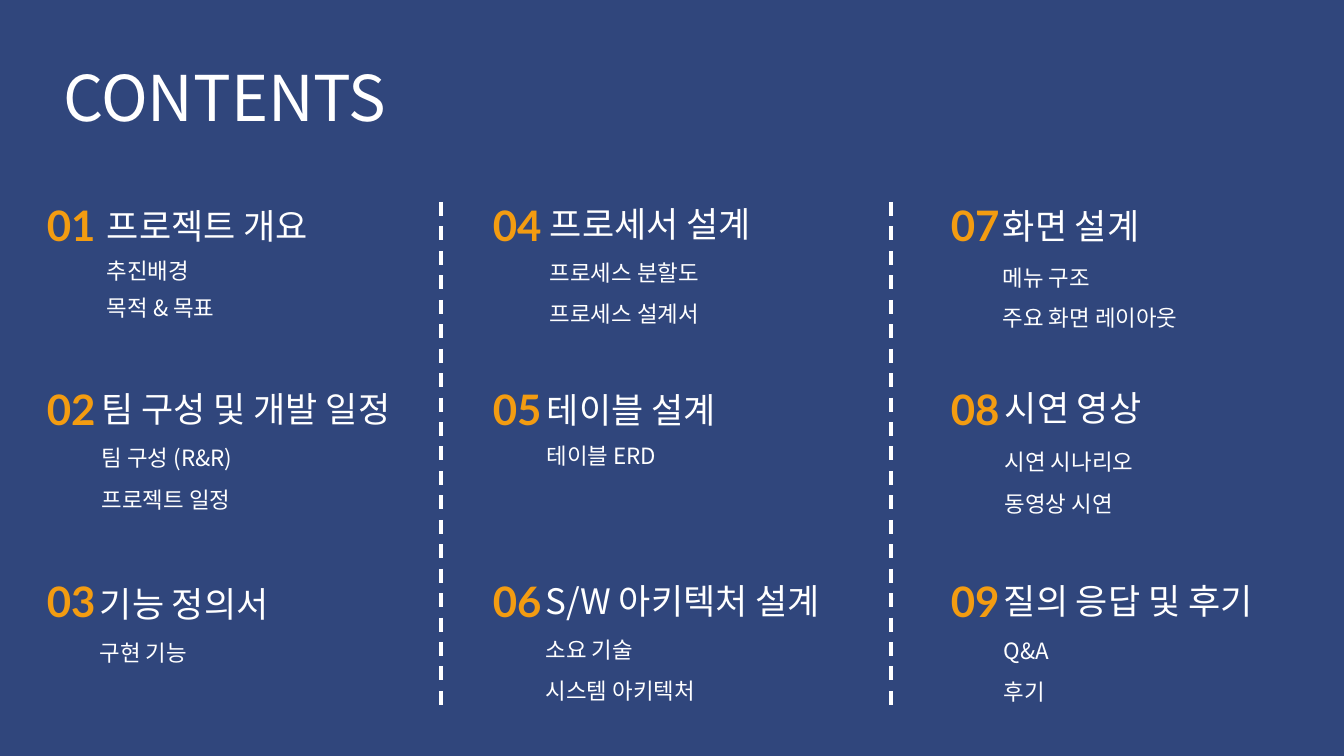
from dataclasses import dataclass

from lxml import etree
from pptx import Presentation
from pptx.dml.color import RGBColor
from pptx.enum.dml import MSO_LINE
from pptx.enum.shapes import MSO_CONNECTOR
from pptx.enum.text import MSO_ANCHOR, MSO_AUTO_SIZE, PP_ALIGN
from pptx.oxml.ns import qn
from pptx.util import Emu, Pt

STRAIGHT = MSO_CONNECTOR.STRAIGHT
DASH = MSO_LINE.DASH
MIDDLE = MSO_ANCHOR.MIDDLE
NO_AUTOFIT = MSO_AUTO_SIZE.NONE
LEFT = PP_ALIGN.LEFT
JUSTIFY = PP_ALIGN.JUSTIFY
TITLE_ONLY = 5

TITLE = ("CONTENTS", (53, 53, 419, 87))

# Each topic: heading, left, top, width, details (text, top, width).
TOPICS = [
    ("프로젝트 개요", 97, 200, 278, [("추진배경", 252, 187), ("목적 & 목표", 289, 208)]),
    ("팀 구성 및 개발 일정", 92, 383, 402, [("팀 구성 (R&R)", 439, 238), ("프로젝트 일정", 481, 238)]),
    ("기능 정의서", 90, 578, 278, [("구현 기능", 634, 238)]),
    ("프로세서 설계", 540, 198, 278, [("프로세스 분할도", 254, 250), ("프로세스 설계서", 295, 250)]),
    ("테이블 설계", 537, 384, 228, [("테이블 ERD", 437, 250)]),
    ("S/W 아키텍처 설계", 536, 575, 359, [("소요 기술", 631, 250), ("시스템 아키텍처", 672, 250)]),
    ("화면 설계", 993, 200, 186, [("메뉴 구조", 259, 250), ("주요 화면 레이아웃", 299, 283)]),
    ("시연 영상", 995, 382, 191, [("시연 시나리오", 443, 250), ("동영상 시연", 485, 208)]),
    ("질의 응답 및 후기", 994, 575, 320, [("Q&A", 632, 134), ("후기", 673, 134)]),
]

NUMBER_LEFTS = (37, 483, 941)
NUMBER_TOPS = (194, 378, 570)
NUMBER_SIZE = (83, 61)
HEADING_HEIGHT = 52
DETAIL_HEIGHT = 37
DIVIDER_LEFTS = (441, 891)
DIVIDER_TOP, DIVIDER_BOTTOM = 202, 710


@dataclass(frozen=True)
class TextStyle:
    size: float
    font: str
    color: RGBColor
    bold: bool = False


@dataclass(frozen=True)
class Theme:
    background = RGBColor.from_string("30467C")
    white = RGBColor.from_string("FFFFFF")
    orange = RGBColor.from_string("F39C11")
    title = TextStyle(45, "Noto Sans CJK KR", white)
    heading = TextStyle(25, "Noto Sans CJK KR", white)
    detail = TextStyle(16, "Noto Sans CJK KR", white)
    number = TextStyle(30, "Lato", orange, True)
    divider_width = 2.5


THEME = Theme()


def px(length):
    return Emu(round(length * 914400 / 100.8))


def write_text(shape, text, style, alignment=LEFT):
    frame = shape.text_frame
    frame.word_wrap = True
    frame.auto_size = NO_AUTOFIT
    frame.vertical_anchor = MIDDLE
    paragraph = frame.paragraphs[0]
    paragraph.text = text
    paragraph.alignment = alignment
    paragraph.font.size = Pt(style.size)
    paragraph.font.name = style.font
    paragraph.font.bold = style.bold
    paragraph.font.color.rgb = style.color
    for run in paragraph.runs:
        properties = run.font._element if hasattr(run.font, "_element") else run._r.get_or_add_rPr()
        east_asian = etree.SubElement(properties, qn("a:ea"))
        east_asian.set("typeface", style.font)


def add_text(shapes, box, text, style):
    write_text(shapes.add_textbox(*map(px, box)), text, style)


def add_title(slide):
    text, box = TITLE
    title = slide.shapes.title
    title.left, title.top, title.width, title.height = map(px, box)
    write_text(title, text, THEME.title, JUSTIFY)


def add_topic(slide, index, topic):
    heading, left, top, width, details = topic
    column, row = divmod(index, len(NUMBER_TOPS))
    shapes = slide.shapes.add_group_shape().shapes
    add_text(shapes, (left, top, width, HEADING_HEIGHT), heading, THEME.heading)
    number_box = (NUMBER_LEFTS[column], NUMBER_TOPS[row], *NUMBER_SIZE)
    add_text(shapes, number_box, f"{index + 1:02}", THEME.number)
    for text, detail_top, detail_width in details:
        add_text(shapes, (left, detail_top, detail_width, DETAIL_HEIGHT), text, THEME.detail)


def add_divider(slide, left):
    ends = (left, DIVIDER_TOP, left, DIVIDER_BOTTOM)
    divider = slide.shapes.add_connector(STRAIGHT, *map(px, ends))
    divider.line.color.rgb = THEME.white
    divider.line.width = Pt(THEME.divider_width)
    divider.line.dash_style = DASH
    etree.SubElement(divider._element.spPr, qn("a:effectLst"))


def main():
    presentation = Presentation()
    presentation.slide_width, presentation.slide_height = px(1344), px(756)
    slide = presentation.slides.add_slide(presentation.slide_layouts[TITLE_ONLY])
    slide.background.fill.solid()
    slide.background.fill.fore_color.rgb = THEME.background
    add_title(slide)
    for index, topic in enumerate(TOPICS):
        add_topic(slide, index, topic)
    for left in DIVIDER_LEFTS:
        add_divider(slide, left)
    presentation.save("out.pptx")


if __name__ == "__main__":
    main()
